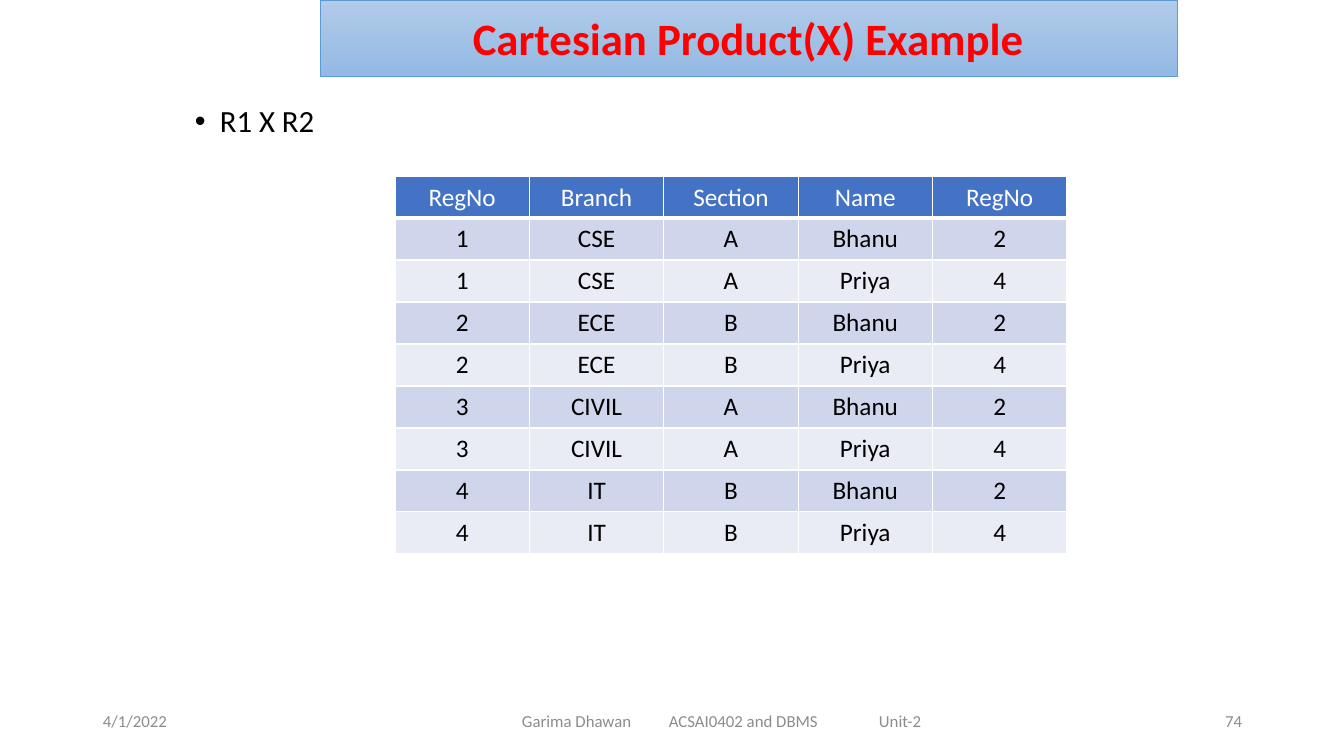
from pptx import Presentation
from pptx import util as u
from pptx.dml.color import RGBColor
from pptx.enum import text
from pptx.oxml.xmlchemy import OxmlElement

PX = 914400 / 100.8
LEFT, MID, RIGHT = text.PP_ALIGN.LEFT, text.PP_ALIGN.CENTER, text.PP_ALIGN.RIGHT
HEAD = ["RegNo", "Branch", "Section", "Name", "RegNo"]
FIRST = [("1", "CSE", "A"), ("2", "ECE", "B"), ("3", "CIVIL", "A"), ("4", "IT", "B")]
SECOND = [("Bhanu", "2"), ("Priya", "4")]


def px(n):
    return u.Emu(round(n * PX))


def rgb(code):
    return RGBColor.from_string(code)


def style(para, size, color, align=LEFT, bold=False):
    para.alignment = align
    font = para.font
    font.name, font.size, font.bold = "Calibri", u.Pt(size), bold
    font.color.rgb = rgb(color)


def place(shape, box):
    shape.left, shape.top, shape.width, shape.height = map(px, box)


def add_text(slide, box, words, anchor):
    frame = slide.shapes.add_textbox(*map(px, box)).text_frame
    frame.word_wrap = True
    frame.vertical_anchor = anchor
    frame.text = words
    return frame


def add_tabs(para, stops):
    tabs = OxmlElement("a:tabLst")
    for stop in stops:
        tab = OxmlElement("a:tab")
        tab.set("pos", str(px(stop)))
        tab.set("algn", "l")
        tabs.append(tab)
    para._p.get_or_add_pPr().append(tabs)


def add_title(slide, box):
    title = slide.shapes.title
    place(title, box)
    title.fill.gradient()
    title.fill.gradient_angle = 270
    for stop, color in zip(title.fill.gradient_stops, ["B1CBE9", "93B9E4"]):
        stop.color.rgb = rgb(color)
    title.line.color.rgb = rgb("5B9BD5")
    title.line.width = u.Pt(0.5)
    frame = title.text_frame
    frame.text = "Cartesian Product(X) Example"
    frame.auto_size = text.MSO_AUTO_SIZE.NONE
    frame.vertical_anchor = text.MSO_ANCHOR.MIDDLE
    style(frame.paragraphs[0], 32, "FF0000", MID, True)


def add_body(slide, box):
    para = add_text(slide, box, "R1 X R2", text.MSO_ANCHOR.TOP).paragraphs[0]
    para.line_spacing = 0.9
    props = para._p.get_or_add_pPr()
    props.set("marL", str(px(25)))
    props.set("indent", str(px(-25)))
    face = OxmlElement("a:buFont")
    face.set("typeface", "Arial")
    mark = OxmlElement("a:buChar")
    mark.set("char", "•")
    props.extend([face, mark])
    style(para, 22, "000000")


def add_edges(cell, low):
    props = cell._tc.get_or_add_tcPr()
    for side, width in [("L", 1), ("R", 1), ("T", 1), ("B", low)]:
        line = OxmlElement(f"a:ln{side}")
        line.set("w", str(u.Pt(width)))
        fill = OxmlElement("a:solidFill")
        color = OxmlElement("a:srgbClr")
        color.set("val", "FFFFFF")
        fill.append(color)
        line.append(fill)
        props.append(line)


def add_grid(slide, box):
    rows = [HEAD] + [one + two for one in FIRST for two in SECOND]
    table = slide.shapes.add_table(len(rows), len(HEAD), *map(px, box)).table
    for r, row in enumerate(rows):
        fill = "4472C4" if r == 0 else "CFD5EA" if r % 2 else "E9EBF5"
        for c, word in enumerate(row):
            cell = table.cell(r, c)
            cell.text = word
            cell.margin_left = cell.margin_right = cell.margin_top = px(6)
            cell.margin_bottom = px(5)
            add_edges(cell, 1 if r else 3)
            cell.fill.solid()
            cell.fill.fore_color.rgb = rgb(fill)
            style(cell.text_frame.paragraphs[0], 18, "000000" if r else "FFFFFF", MID)


def add_footer(slide, box):
    x, y, w, h = box
    side = 302
    unit = "Garima Dhawan\tACSAI0402 and DBMS\tUnit-2"
    parts = [
        (x, side, "4/1/2022", LEFT),
        (x + 353, 554, unit, LEFT),
        (x + w - side, side, "74", RIGHT),
    ]
    for left, wide, words, align in parts:
        frame = add_text(slide, (left, y, wide, h), words, text.MSO_ANCHOR.MIDDLE)
        para = frame.paragraphs[0]
        if words == unit:
            frame.margin_left = px(76)
            add_tabs(para, [147, 357])
        style(para, 12, "8C8C8C", align)


def main():
    deck = Presentation()
    deck.slide_width, deck.slide_height = px(1344), px(756)
    slide = deck.slides.add_slide(deck.slide_layouts[5])
    add_footer(slide, (93, 701, 1159, 40))
    add_title(slide, (320, 0, 857, 76))
    add_body(slide, (185, 101, 1159, 480))
    add_grid(slide, (395, 176, 672, 378))
    deck.save("out.pptx")


if __name__ == "__main__":
    main()
